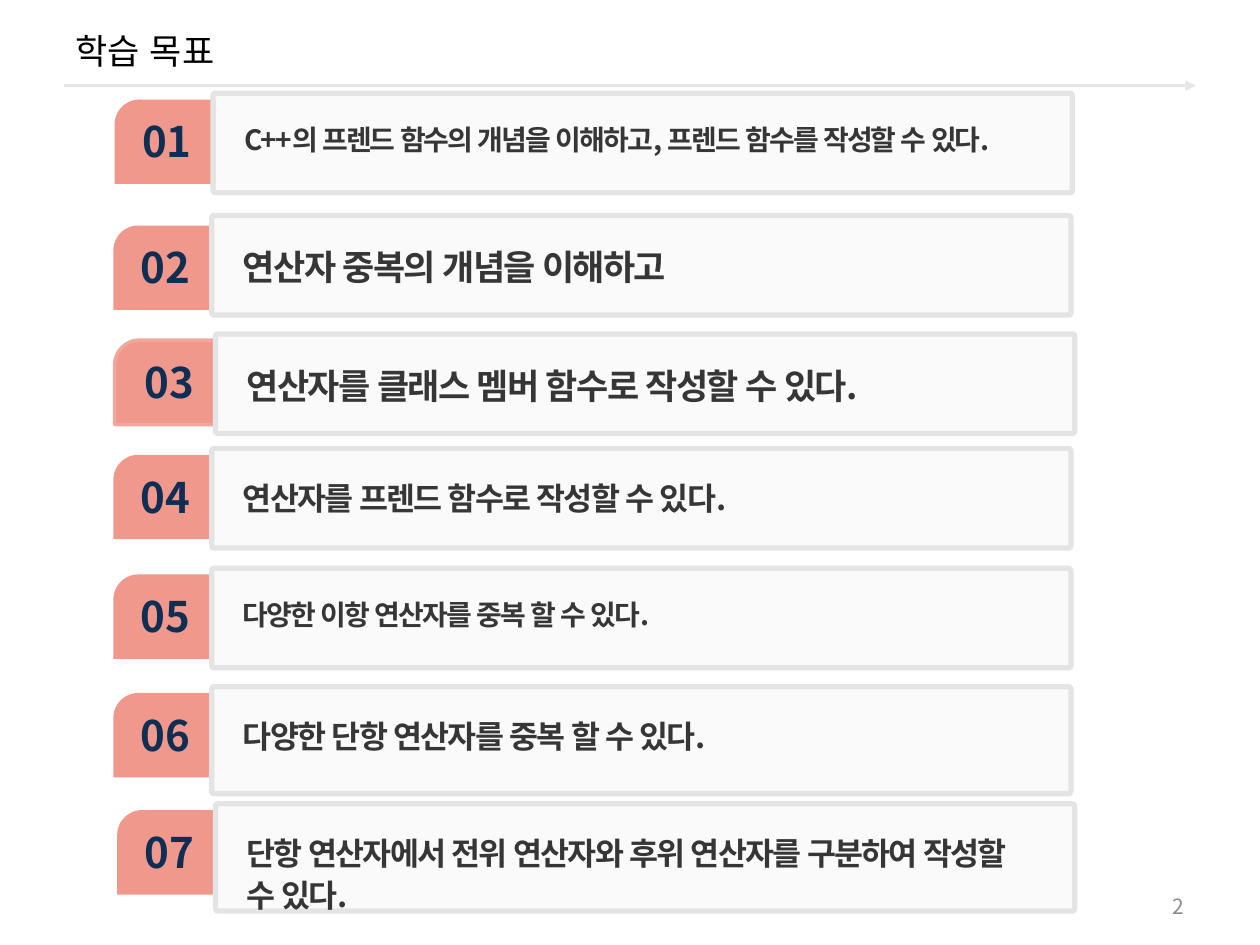
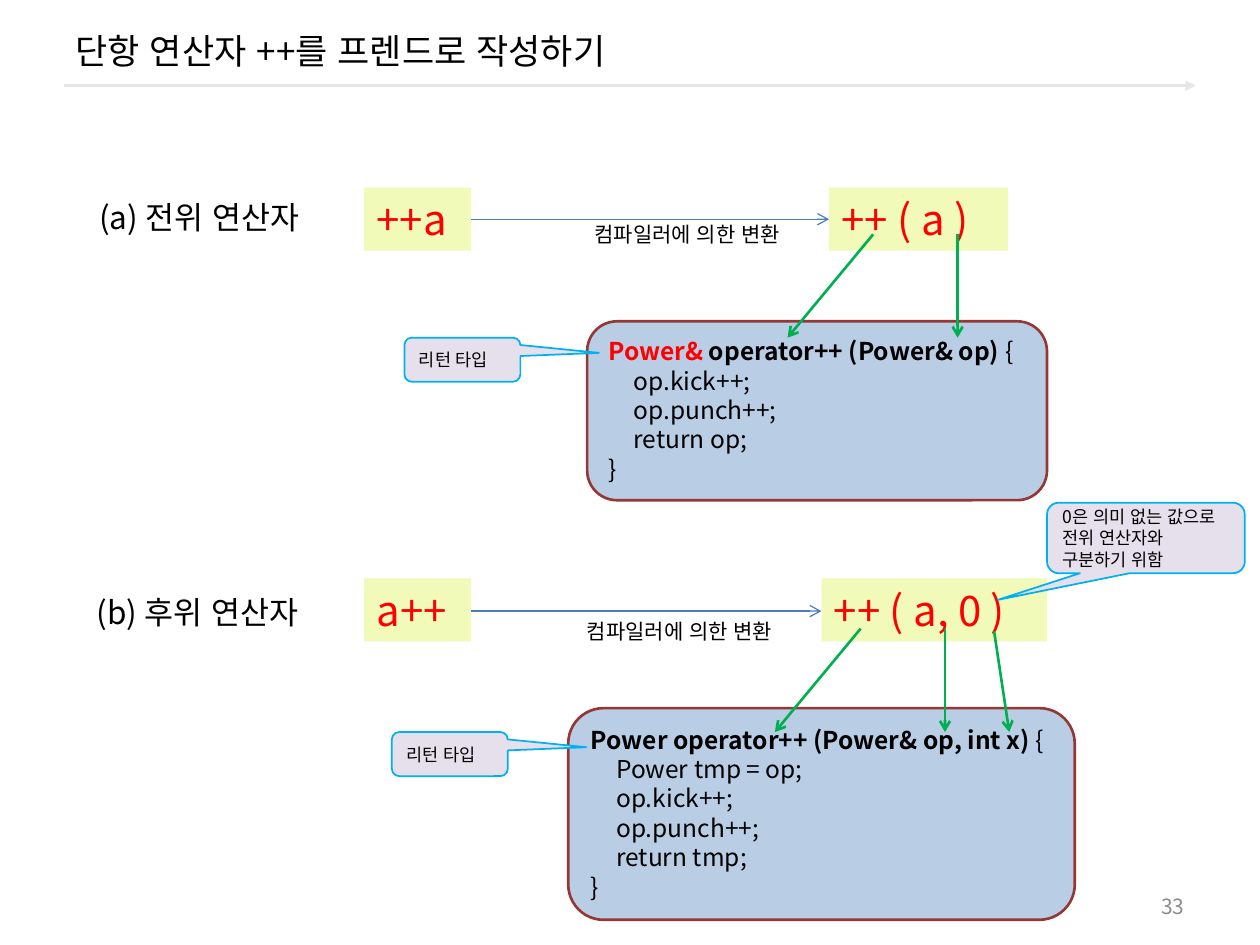
from lxml import etree
from pptx import Presentation, util as u
from pptx.dml.color import RGBColor
from pptx.enum import lang, shapes, text
from pptx.oxml.ns import qn

FONT = "Noto Sans CJK KR"
CELL = u.Inches(0.1)  # the slide is a grid of 100 columns by 75 rows
COLUMNS, ROWS = 100, 75
COLORS = {
    "black": "000000", "red": "FF0000", "rule": "E6E6E6", "page": "8C8C8C",
    "tab": "F0988C", "tab edge": "F2A69C", "number": "0F2E53",
    "goal": "363636", "panel": "F2F2F2", "panel edge": "E4E4E4",
    "expression": "F1FAB8", "convert": "4B7EBC", "match": "00B050",
    "code": "B9CDE5", "code edge": "953735",
    "callout": "E6E0EC", "callout edge": "00B0F0",
}
TOP, MIDDLE = text.MSO_ANCHOR.TOP, text.MSO_ANCHOR.MIDDLE
LEFT, CENTER, RIGHT = text.PP_ALIGN.LEFT, text.PP_ALIGN.CENTER, text.PP_ALIGN.RIGHT
SHAPE = shapes.MSO_SHAPE


def color(name):
    return RGBColor.from_string(COLORS[name])


def grid(*cells):
    return [round(CELL * cell) for cell in cells]


def write(shape, content, size=18, ink="black", bold=False, align=LEFT,
          anchor=TOP, line_spacing=None, before=None, after=None, tracking=None):
    """Fill a shape; content is a string or a list of (indent, runs) lines,
    where each run is (words, ink, bold)."""
    lines = [(0, [(content, ink, bold)])] if isinstance(content, str) else content
    frame = shape.text_frame
    frame.word_wrap = True
    frame.vertical_anchor = anchor
    for index, (indent, runs) in enumerate(lines):
        paragraph = frame.add_paragraph() if index else frame.paragraphs[0]
        paragraph.alignment = align
        paragraph.line_spacing = line_spacing
        paragraph.space_before = before
        paragraph.space_after = after
        if indent:
            paragraph._p.get_or_add_pPr().set("marL", str(grid(indent)[0]))
        for words, run_ink, run_bold in runs:
            run = paragraph.add_run()
            run.text = words
            font = run.font
            font.name, font.size, font.bold = FONT, u.Pt(size), run_bold
            font.color.rgb = color(run_ink)
            font.language_id = lang.MSO_LANGUAGE_ID.KOREAN
            properties = font._element
            east_asian = etree.Element(qn("a:ea"), typeface=FONT)
            properties.find(qn("a:latin")).addnext(east_asian)
            if tracking:
                properties.set("spc", str(round(tracking * 100)))


def add_text(parent, place, content, **style):
    write(parent.shapes.add_textbox(*grid(*place)), content, **style)


def add_box(parent, kind, place, fill, edge=None, weight=1, adjust=(), opacity=None):
    box = parent.shapes.add_shape(kind, *grid(*place))
    box.shadow.inherit = False
    for index, value in enumerate(adjust):
        box.adjustments[index] = value
    box.fill.solid()
    box.fill.fore_color.rgb = color(fill)
    if opacity:
        fill_color = box._element.spPr.find(qn("a:solidFill"))[0]
        etree.SubElement(fill_color, qn("a:alpha"), val=str(opacity * 1000))
    if edge:
        box.line.color.rgb = color(edge)
        box.line.width = u.Pt(weight)
    else:
        box.line.fill.background()
    return box


def add_arrow(slide, start, end, ink, weight, head="arrow"):
    arrow = slide.shapes.add_connector(
        shapes.MSO_CONNECTOR.STRAIGHT, *grid(*start, *end))
    arrow.line.color.rgb = color(ink)
    arrow.line.width = u.Pt(weight)
    etree.SubElement(arrow.line._get_or_add_ln(), qn("a:tailEnd"), type=head)
    etree.SubElement(arrow._element.spPr, qn("a:effectLst"))


def add_slide(presentation, title, page):
    slide = presentation.slides.add_slide(presentation.slide_layouts[5])
    add_arrow(slide, (5.1, 6.8), (94.9, 6.8), "rule", 1.5, head="triangle")
    heading = slide.shapes.title
    heading.left, heading.top, heading.width, heading.height = grid(5, 0.8, 90, 6.4)
    write(heading, title, size=20, anchor=MIDDLE)
    add_text(slide, (71.7, 70.3, 23.3, 3.2), page, size=12, ink="page",
             align=RIGHT, anchor=MIDDLE)
    return slide


def add_goal(slide, number, left, top, height, size, goal, tab_left=-7.8,
             tab_drop=0.5, tab_edge=None):
    """One numbered row; left and top are those of the wide panel."""
    row = slide.shapes.add_group_shape()
    add_box(row, SHAPE.SNIP_ROUND_RECTANGLE,
            (left + tab_left, top + tab_drop, 8, 6.7), "tab", tab_edge, 2, (0.296, 0))
    add_text(row, (left - 6.6, top + tab_drop + 0.8, 5.9, 5), f"{number:02}",
             size=24, ink="number", bold=True, align=CENTER)
    add_box(row, SHAPE.ROUNDED_RECTANGLE, (left, top, 68.2, height),
            "panel", "panel edge", 3, (0.023,), opacity=33)
    add_text(row, (left + 1.5, top + 1.6, 64.5, 4.4), goal, size=size, ink="goal",
             bold=True, line_spacing=1.1, before=u.Pt(18), after=u.Pt(3), tracking=-1)


def add_expression(slide, left, top, width, expression):
    box = add_box(slide, SHAPE.RECTANGLE, (left, top, width, 5), "expression")
    write(box, expression, size=24, ink="red")


def add_code(slide, place, signature, body):
    """A function panel: signature runs, indented body lines, closing brace."""
    lines = [(0, signature + [("{", "black", False)])]
    lines += [(2, [(line, "black", False)]) for line in body]
    lines.append((0, [("}", "black", False)]))
    panel = add_box(slide, SHAPE.ROUNDED_RECTANGLE, place, "code", "code edge", 1.5)
    write(panel, lines, size=14)


def add_callout(slide, place, words, pointer):
    callout = add_box(slide, SHAPE.ROUNDED_RECTANGULAR_CALLOUT, place,
                      "callout", "callout edge", 1, (*pointer, 0.167))
    write(callout, words, size=10, anchor=MIDDLE)


def add_conversion(slide, top, label, label_place, source, result, result_left,
                   result_width, arrow_y, caption_place, code_place, signature,
                   body, return_place, matches):
    """An operator expression, its compiled call and the function it matches."""
    source_left, source_width = 28.9, 8.5
    add_text(slide, (*label_place, 19.5, 4), label)
    add_expression(slide, source_left, top, source_width, source)
    add_expression(slide, result_left, top, result_width, result)
    add_arrow(slide, (source_left + source_width, arrow_y), (result_left, arrow_y),
              "convert", 0.75)
    add_text(slide, (*caption_place, 20.6, 3), "컴파일러에 의한 변환", size=12)
    add_code(slide, code_place, signature, body)
    add_callout(slide, (*return_place, 9.2, 3.5), "리턴 타입", (1.178, -0.155))
    for start, end in matches:
        add_arrow(slide, start, end, "match", 1.5)


def add_goals_slide(presentation):
    slide = add_slide(presentation, "학습 목표", "2")
    goals = [
        (16.9, 7.4, 7.9, 16, "C++의 프렌드 함수의 개념을 이해하고, 프렌드 함수를 작성할 수 있다."),
        (16.8, 17.1, 7.9, 20, "연산자 중복의 개념을 이해하고"),
        (17.1, 26.5, 7.9, 20, "연산자를 클래스 멤버 함수로 작성할 수 있다."),
        (16.8, 35.6, 7.9, 18, "연산자를 프렌드 함수로 작성할 수 있다."),
        (16.8, 45.1, 7.9, 16, "다양한 이항 연산자를 중복 할 수 있다."),
        (16.8, 54.5, 8.5, 18, "다양한 단항 연산자를 중복 할 수 있다."),
        (17.1, 63.8, 8.5, 18, "단항 연산자에서 전위 연산자와 후위 연산자를 구분하여 작성할 수 있다."),
    ]
    tab_changes = {2: {"tab_drop": 0.8}, 3: {"tab_left": -8, "tab_edge": "tab edge"}}
    for number, goal in enumerate(goals, 1):
        add_goal(slide, number, *goal, **tab_changes.get(number, {}))


def add_operators_slide(presentation):
    slide = add_slide(presentation, "단항 연산자 ++를 프렌드로 작성하기", "33")
    add_conversion(
        slide, 14.9, "(a) 전위 연산자", (6.9, 15.2), "++a", "++ ( a )", 65.8, 14.2,
        arrow_y=17.4, caption_place=(46.2, 17.1), code_place=(46.6, 25.5, 36.5, 14.2),
        signature=[("Power& ", "red", True), ("operator++ (Power& op) ", "black", True)],
        body=["op.kick++;", "op.punch++;", "return op;"],
        return_place=(32.1, 26.8),
        matches=[((69.3, 18.6), (62.5, 26.8)), ((76, 18.6), (76, 26.8))])
    add_conversion(
        slide, 45.9, "(b) 후위 연산자", (6.7, 46.6), "a++", "++ ( a, 0 )", 65.2, 17.9,
        arrow_y=48.5, caption_place=(45.6, 48.6), code_place=(45.1, 56.2, 40.2, 16.8),
        signature=[("Power operator++ (Power& op, int x) ", "black", True)],
        body=["Power tmp = op;", "op.kick++;", "op.punch++;", "return tmp;"],
        return_place=(31.1, 58.1),
        matches=[((68.3, 49.9), (61.5, 58.1)), ((75, 49.9), (75, 58.1)),
                 ((78.9, 50.1), (80.1, 58.1))])
    add_callout(slide, (83.1, 39.9, 15.7, 5.6),
                "0은 의미 없는 값으로 전위 연산자와 구분하기 위함", (-0.748, 0.877))


def main():
    presentation = Presentation()
    presentation.slide_width, presentation.slide_height = grid(COLUMNS, ROWS)
    add_goals_slide(presentation)
    add_operators_slide(presentation)
    presentation.save("out.pptx")


if __name__ == "__main__":
    main()
